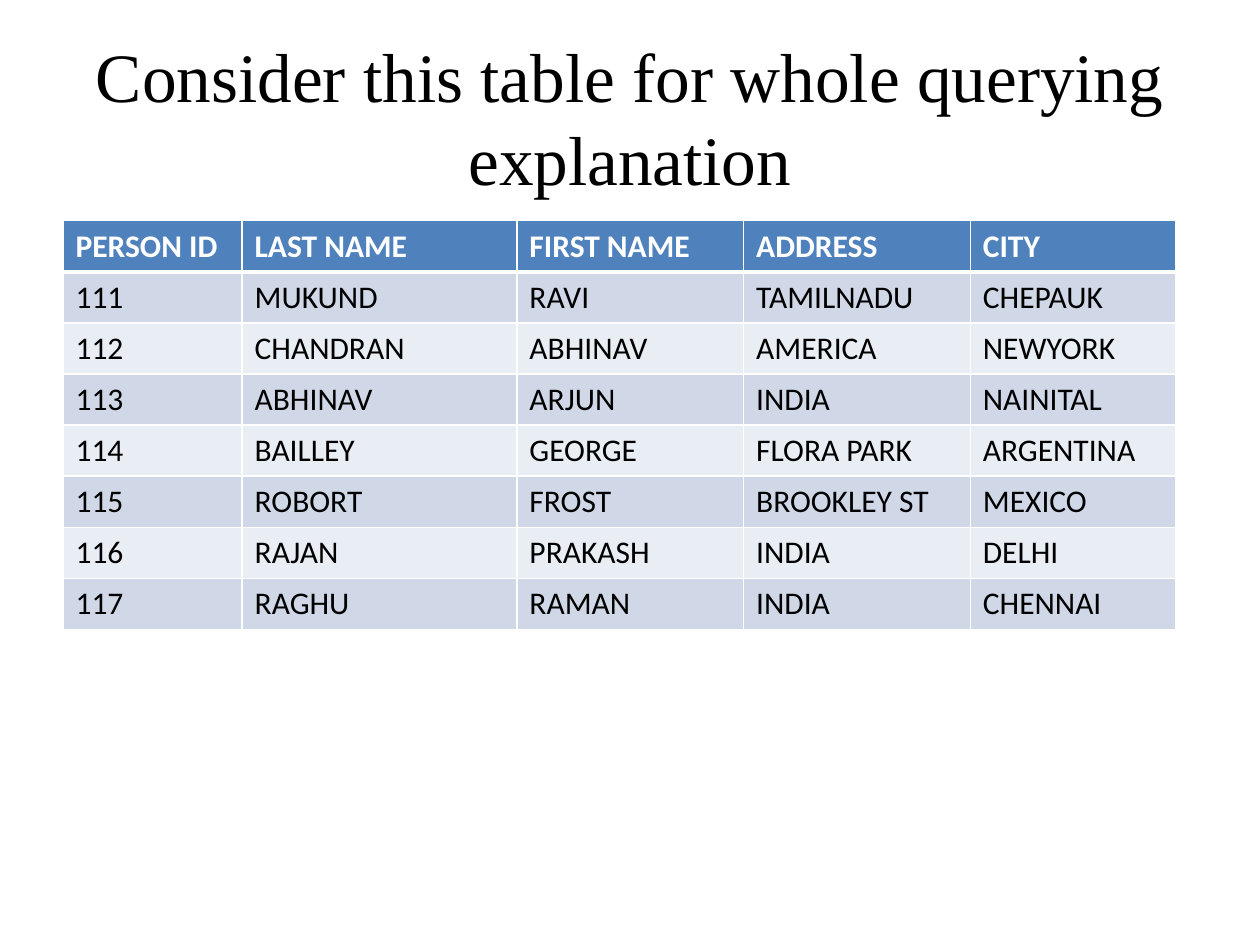
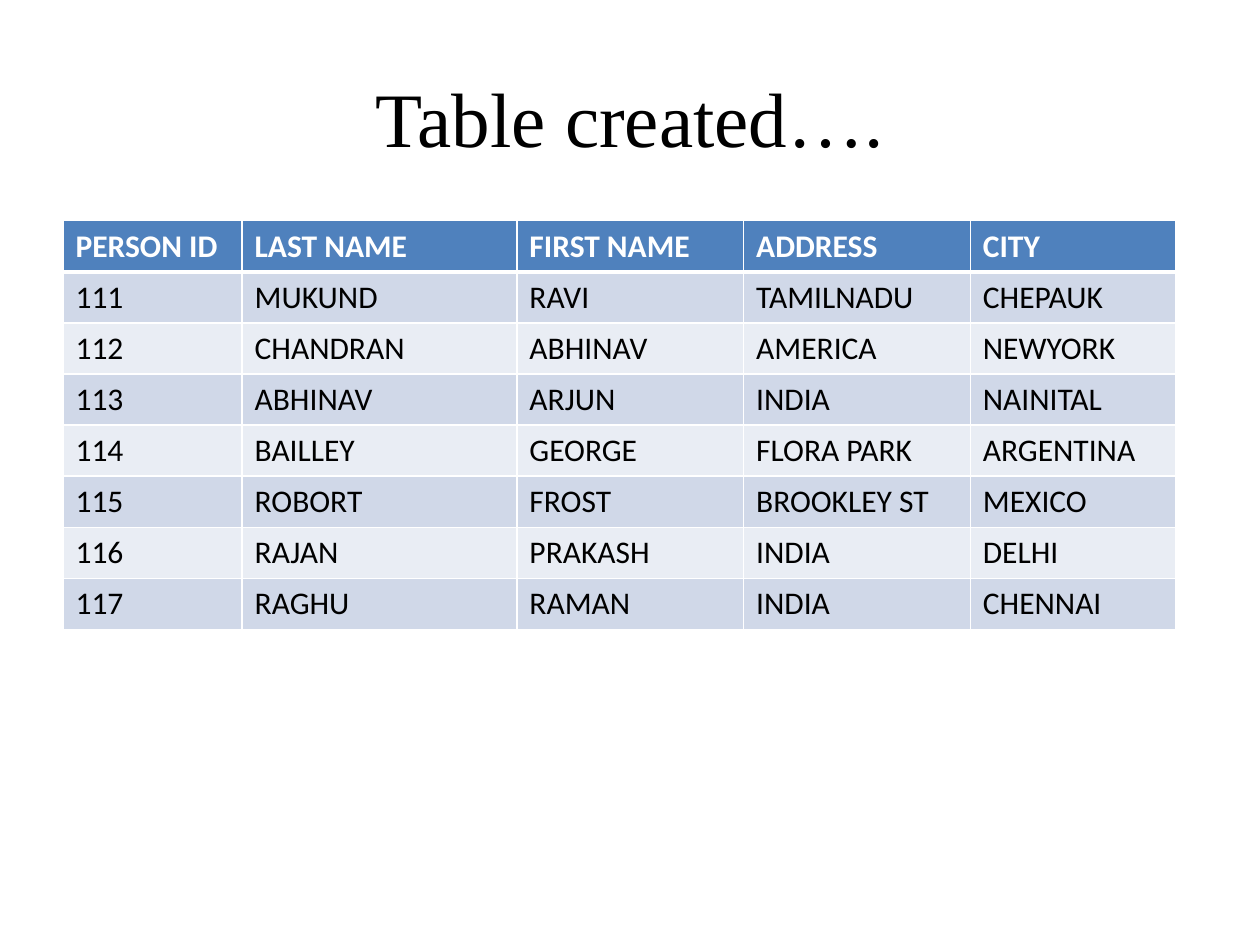
from dataclasses import dataclass

from lxml.etree import SubElement
from pptx import Presentation
from pptx.dml.color import RGBColor
from pptx.enum.text import MSO_ANCHOR as Anchor, PP_ALIGN as Align
from pptx.oxml.ns import qn
from pptx.slide import Slide
from pptx.table import _Cell as Cell
from pptx.text.text import _Paragraph as Paragraph
from pptx.util import Cm, Pt

BLACK = RGBColor(0x00, 0x00, 0x00)
WHITE = RGBColor(0xFF, 0xFF, 0xFF)
HEADER_BLUE = RGBColor(0x4F, 0x81, 0xBD)
BAND_DARK = RGBColor(0xD0, 0xD8, 0xE8)
BAND_LIGHT = RGBColor(0xE9, 0xED, 0xF4)

TITLE_FONT = "Times New Roman"
TABLE_FONT = "Calibri"
LEFT = Cm(1.27)
COLUMN_WIDTHS = [Cm(3.61), Cm(5.54), Cm(4.57), Cm(4.57), Cm(4.14)]
ROW_HEIGHT = Cm(1.03)
THIN, THICK = Pt(1), Pt(3)

PERSONS = [
    ("PERSON ID", "LAST NAME", "FIRST NAME", "ADDRESS", "CITY"),
    ("111", "MUKUND", "RAVI", "TAMILNADU", "CHEPAUK"),
    ("112", "CHANDRAN", "ABHINAV", "AMERICA", "NEWYORK"),
    ("113", "ABHINAV", "ARJUN", "INDIA", "NAINITAL"),
    ("114", "BAILLEY", "GEORGE", "FLORA PARK", "ARGENTINA"),
    ("115", "ROBORT", "FROST", "BROOKLEY ST", "MEXICO"),
    ("116", "RAJAN", "PRAKASH", "INDIA", "DELHI"),
    ("117", "RAGHU", "RAMAN", "INDIA", "CHENNAI"),
]


@dataclass(frozen=True)
class TextStyle:
    font: str
    size: float
    color: RGBColor
    bold: bool = False


@dataclass(frozen=True)
class RowStyle:
    text: TextStyle
    fill: RGBColor
    top: int = THIN
    bottom: int = THIN


@dataclass(frozen=True)
class PersonsSlide:
    title: str
    title_size: float


BODY_TEXT = TextStyle(TABLE_FONT, 18, BLACK)
HEADER_TEXT = TextStyle(TABLE_FONT, 18, WHITE, bold=True)

SLIDES = [
    PersonsSlide("Consider this table for whole querying explanation", 39.6),
    PersonsSlide("Table created….", 44),
]


def row_style(index: int) -> RowStyle:
    if index == 0:
        return RowStyle(HEADER_TEXT, HEADER_BLUE, bottom=THICK)
    band = BAND_DARK if index % 2 else BAND_LIGHT
    return RowStyle(BODY_TEXT, band, top=THICK if index == 1 else THIN)


def add_run(paragraph: Paragraph, text: str, style: TextStyle) -> None:
    run = paragraph.add_run()
    run.text = text
    run.font.name = style.font
    run.font.size = Pt(style.size)
    run.font.bold = style.bold
    run.font.color.rgb = style.color


def add_title(slide: Slide, content: PersonsSlide) -> None:
    frame = slide.shapes.add_textbox(LEFT, Cm(0.76), Cm(22.86), Cm(3.18)).text_frame
    frame.word_wrap = True
    frame.vertical_anchor = Anchor.MIDDLE
    paragraph = frame.paragraphs[0]
    paragraph.alignment = Align.CENTER
    add_run(paragraph, content.title, TextStyle(TITLE_FONT, content.title_size, BLACK))


def set_borders(cell: Cell, top: int, bottom: int) -> None:
    """Draw white borders; call before filling, as the schema wants lines first."""
    properties = cell._tc.get_or_add_tcPr()
    for tag, width in (("lnL", THIN), ("lnR", THIN), ("lnT", top), ("lnB", bottom)):
        line = SubElement(properties, qn(f"a:{tag}"), w=str(int(width)))
        fill = SubElement(line, qn("a:solidFill"))
        SubElement(fill, qn("a:srgbClr"), val=str(WHITE))


def add_persons_table(slide: Slide) -> None:
    table = slide.shapes.add_table(
        len(PERSONS), len(COLUMN_WIDTHS), LEFT, Cm(4.45),
        sum(COLUMN_WIDTHS), ROW_HEIGHT * len(PERSONS),
    ).table
    table.horz_banding = False
    for column, width in zip(table.columns, COLUMN_WIDTHS):
        column.width = width
    for index, (row, person) in enumerate(zip(table.rows, PERSONS)):
        row.height = ROW_HEIGHT
        style = row_style(index)
        for cell, value in zip(row.cells, person):
            set_borders(cell, style.top, style.bottom)
            cell.fill.solid()
            cell.fill.fore_color.rgb = style.fill
            add_run(cell.text_frame.paragraphs[0], value, style.text)


def main() -> None:
    deck = Presentation()
    deck.slide_width, deck.slide_height = Cm(25.4), Cm(19.05)
    blank = deck.slide_layouts[6]
    for content in SLIDES:
        slide = deck.slides.add_slide(blank)
        add_title(slide, content)
        add_persons_table(slide)
    deck.save("out.pptx")


if __name__ == "__main__":
    main()
